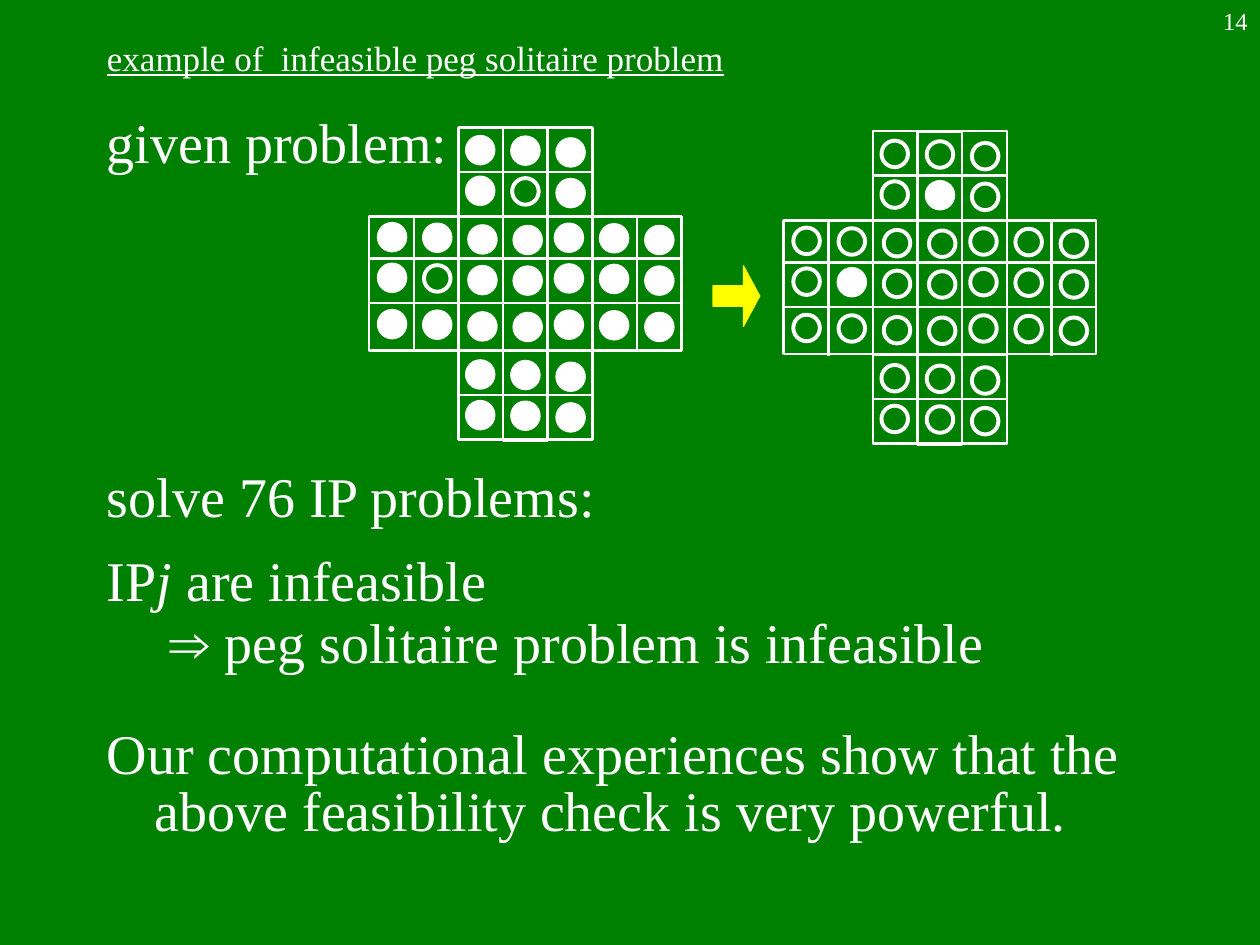
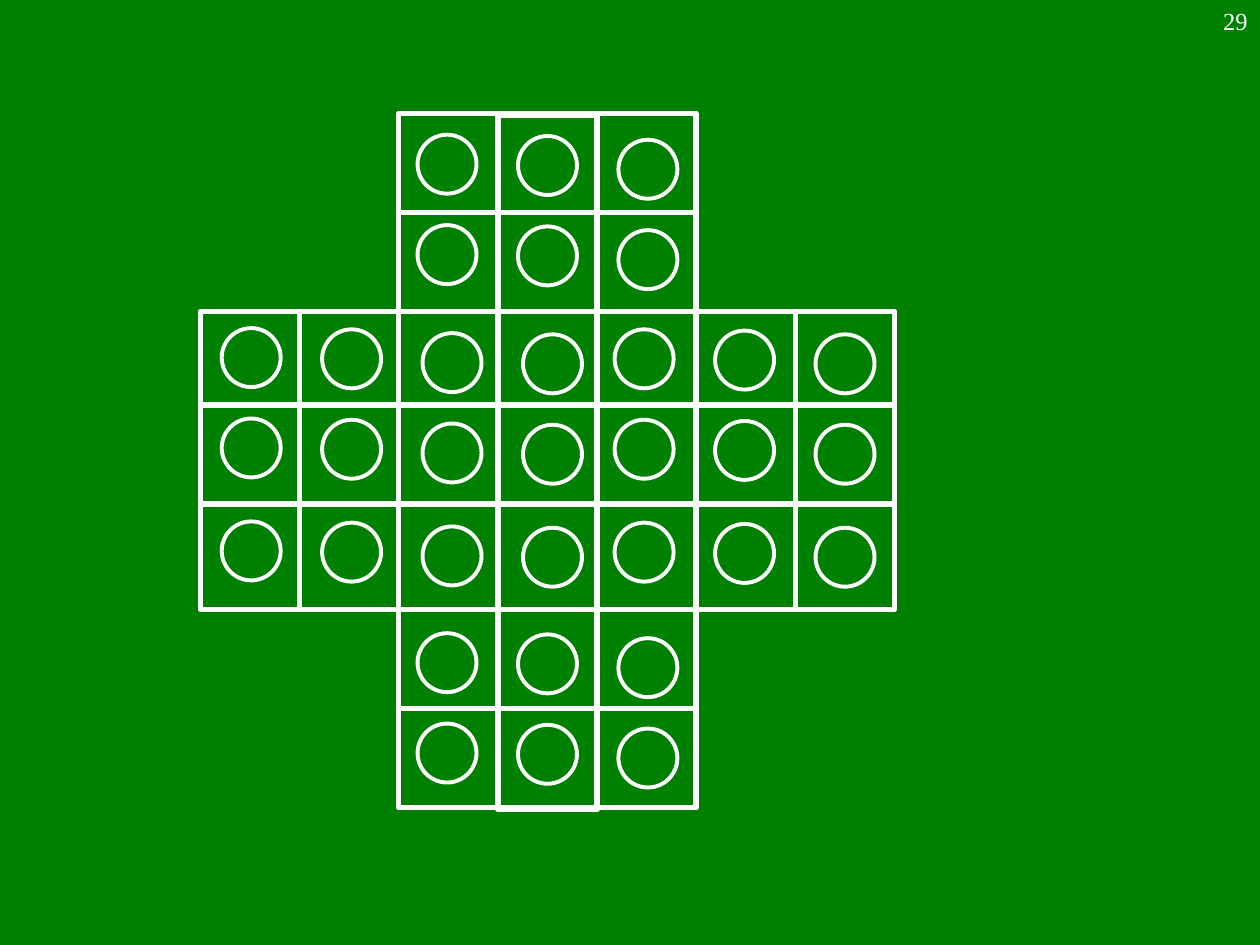
from dataclasses import dataclass

from lxml import etree
from pptx import Presentation
from pptx.dml.color import RGBColor
from pptx.enum.shapes import MSO_CONNECTOR as Connector, MSO_SHAPE as Shape
from pptx.enum.text import MSO_ANCHOR as Anchor, PP_ALIGN as Align
from pptx.oxml.ns import qn
from pptx.util import Inches, Pt


@dataclass(frozen=True)
class Theme:
    background: RGBColor = RGBColor(0x00, 0x80, 0x00)
    ink: RGBColor = RGBColor(0xFF, 0xFF, 0xFF)
    accent: RGBColor = RGBColor(0xFF, 0xFF, 0x00)
    font: str = "Times New Roman"
    title_size: int = 20
    body_size: int = 32
    number_size: int = 14
    peg_line: float = 2.25
    arrow_line: float = 0.75


THEME = Theme()

GRID_CELL = 0.79
PEG_SIZE = 0.47
LINE_OVERHANG = 0.03
ROW_TOPS = (0.17, 0.89, 1.71, 2.43, 3.25, 4.14, 4.86)
WIDE_ROW = {0: (0.17, 0), 1: (0.97, 0.01), 2: (1.77, 0.04), 3: (2.57, 0.05),
            4: (3.3, 0.01), 5: (4.1, 0.02), 6: (4.9, 0.05)}
NARROW_ROW = {2: (1.73, 0), 3: (2.53, 0.01), 4: (3.33, 0.04)}
ROWS = [WIDE_ROW if 2 <= row <= 4 else NARROW_ROW for row in range(7)]
CELLS = {(row, column) for row in range(7) for column in ROWS[row]}
KEY_CELLS = {(1, 3), (3, 1)}

GRID_BOXES = [(2, 2, 3, 3), (0, 2.94, 7, 1), (3, 0.02, 1, 7), (0, 2, 2, 3),
              (5, 2, 2, 3), (2, 5, 3, 2), (2, 0, 3, 2)]
GRID_LINES = [(1, 2, 1, 5), (6, 2, 6, 5), (2, 1, 5, 1), (2, 6, 5, 6)]


def add_outlined(shapes, kind, left, top, width, height, color, weight, filled):
    shape = shapes.add_shape(kind, Inches(left), Inches(top),
                             Inches(width), Inches(height))
    shape.shadow.inherit = False
    if filled:
        shape.fill.solid()
        shape.fill.fore_color.rgb = color
    else:
        shape.fill.background()
    shape.line.color.rgb = color
    shape.line.width = Pt(weight)
    return shape


def add_line(shapes, start_x, start_y, end_x, end_y, weight):
    line = shapes.add_connector(Connector.STRAIGHT, Inches(start_x), Inches(start_y),
                                Inches(end_x), Inches(end_y))
    line.line.color.rgb = THEME.ink
    line.line.width = Pt(weight)
    etree.SubElement(line._element.spPr, qn("a:effectLst"))


def add_grid(slide, left, top, cell, weight):
    shapes = slide.shapes.add_group_shape().shapes
    for column, row, columns, rows in GRID_BOXES:
        add_outlined(shapes, Shape.RECTANGLE, left + column * cell, top + row * cell,
                     columns * cell, rows * cell, THEME.ink, weight, False)
    for start_column, start_row, end_column, end_row in GRID_LINES:
        over_x = LINE_OVERHANG * cell if start_row == end_row else 0
        over_y = LINE_OVERHANG * cell - over_x
        add_line(shapes, left + start_column * cell - over_x,
                 top + start_row * cell - over_y,
                 left + end_column * cell + over_x,
                 top + end_row * cell + over_y, weight)


def add_board(slide, left, top, width, weight, pegs):
    cell = width / 7
    scale = cell / GRID_CELL
    add_grid(slide, left, top, cell, weight)
    for row, column in sorted(CELLS):
        peg_left, drift = ROWS[row][column]
        add_outlined(slide.shapes, Shape.OVAL, left + peg_left * scale,
                     top + (ROW_TOPS[row] + drift) * scale,
                     PEG_SIZE * scale, PEG_SIZE * scale,
                     THEME.ink, THEME.peg_line, (row, column) in pegs)


def add_text_frame(slide, left, top, width, height):
    box = slide.shapes.add_textbox(Inches(left), Inches(top),
                                   Inches(width), Inches(height))
    box.text_frame.word_wrap = True
    return box.text_frame


def style_paragraph(paragraph, size):
    paragraph.font.name = THEME.font
    paragraph.font.size = Pt(size)
    paragraph.font.color.rgb = THEME.ink


def add_title(slide, text):
    frame = add_text_frame(slide, 0.75, 0.33, 6.42, 0.25)
    frame.vertical_anchor = Anchor.MIDDLE
    paragraph = frame.paragraphs[0]
    paragraph.text = text
    style_paragraph(paragraph, THEME.title_size)
    paragraph.font.underline = True


def add_body(slide, entries):
    frame = add_text_frame(slide, 0.75, 0.8, 8.92, 6.12)
    for index, (runs, level, space_before, line_spacing) in enumerate(entries):
        paragraph = frame.add_paragraph() if index else frame.paragraphs[0]
        paragraph.level = level
        margin, hanging = ((0.38, 0.38), (0.81, 0.31))[level]
        properties = paragraph._p.get_or_add_pPr()
        properties.set("marL", str(Inches(margin)))
        properties.set("indent", str(-Inches(hanging)))
        if space_before:
            paragraph.space_before = Pt(space_before)
        paragraph.line_spacing = line_spacing
        style_paragraph(paragraph, THEME.body_size)
        for text, italic in runs:
            run = paragraph.add_run()
            run.text = text
            if italic:
                run.font.italic = True


def add_slide_number(slide, number):
    paragraph = add_text_frame(slide, 7.92, 0, 2.08, 0.5).paragraphs[0]
    paragraph.text = str(number)
    paragraph.alignment = Align.RIGHT
    style_paragraph(paragraph, THEME.number_size)


def add_arrow(slide):
    arrow = add_outlined(slide.shapes, Shape.RIGHT_ARROW, 5.66, 2.11, 0.37, 0.48,
                         THEME.accent, THEME.arrow_line, True)
    arrow.adjustments[0] = 0.34
    arrow.adjustments[1] = 0.35


def add_slide(presentation):
    return presentation.slides.add_slide(presentation.slide_layouts[6])


def build_infeasible_example(presentation):
    slide = add_slide(presentation)
    add_title(slide, "example of  infeasible peg solitaire problem")
    add_body(slide, [
        ([("given problem:", False)], 0, 0, 1.0),
        ([("solve 76 IP problems:", False)], 0, 164, 1.0),
        ([("IP", False), ("j", True), (" are infeasible", False)], 0, 9.5, 1.0),
        ([("⇒ peg solitaire problem is infeasible", False)], 1, 9.5, 0.64),
        ([("Our computational experiences show that the above feasibility "
           "check is very powerful.", False)], 0, 33, 0.84),
    ])
    add_board(slide, 2.93, 1.01, 2.48, 1.5, CELLS - KEY_CELLS)
    add_board(slide, 6.22, 1.04, 2.48, 1.5, KEY_CELLS)
    add_arrow(slide)
    add_slide_number(slide, 14)


def build_empty_board(presentation):
    slide = add_slide(presentation)
    add_board(slide, 1.59, 0.9, 5.51, 3, set())
    add_slide_number(slide, 29)


def main():
    presentation = Presentation()
    presentation.slide_width = Inches(10)
    presentation.slide_height = Inches(7.5)
    background = presentation.slide_master.background.fill
    background.solid()
    background.fore_color.rgb = THEME.background
    build_infeasible_example(presentation)
    build_empty_board(presentation)
    presentation.save("out.pptx")


if __name__ == "__main__":
    main()
